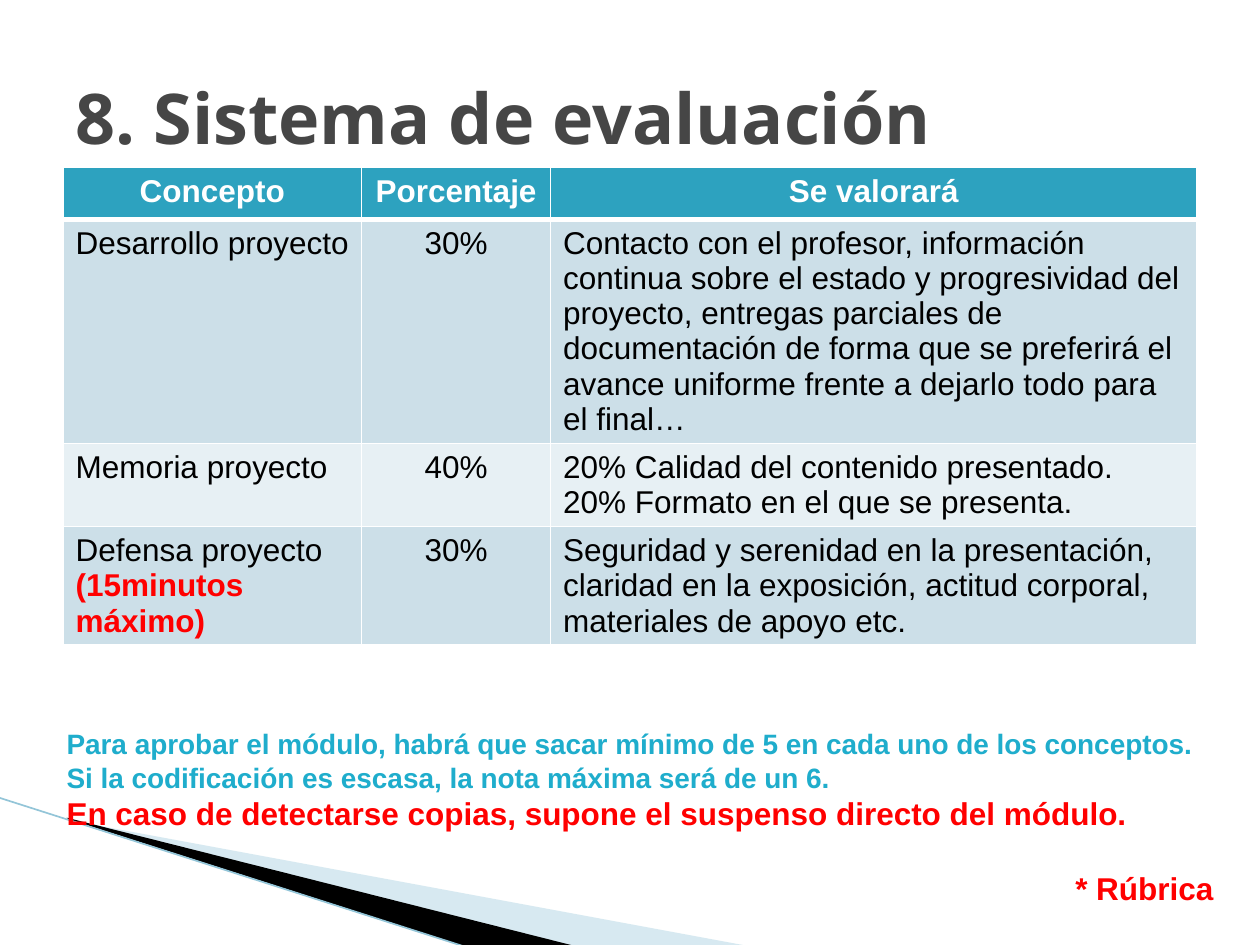
from lxml import etree
from pptx import Presentation
from pptx import util as u
from pptx.dml.color import RGBColor
from pptx.enum import shapes, text
from pptx.oxml.ns import qn

PX = 9144
COLORS = {
    "white": "FFFFFF", "black": "000000", "red": "FF0000", "title": "464646",
    "header": "2DA2BF", "band": "CCDFE8", "light": "E7F0F4",
    "note": "1FADCC", "wedge": "9CCADC", "edge": "93C5D8",
}


def style(para, size, color, bold=False, font="Arial"):
    for span in para.runs:
        span.font.name = font
        span.font.size = u.Pt(size)
        span.font.bold = bold
        span.font.color.rgb = RGBColor.from_string(COLORS[color])


def add_border(cell, tag, position, points):
    line = etree.Element(qn(f"a:{tag}"), w=str(u.Pt(points)))
    fill = etree.SubElement(line, qn("a:solidFill"))
    etree.SubElement(fill, qn("a:srgbClr"), val=COLORS["white"])
    cell._tc.get_or_add_tcPr().insert(position, line)


deck = Presentation()
deck.slide_width = 1000 * PX
deck.slide_height = 750 * PX
page = deck.slides.add_slide(deck.slide_layouts[5])

wedges = [
    ("wedge", [(55, 651), (595, 751), (456, 751), (55, 650)]),
    ("black", [(53, 649), (457, 751), (372, 752), (54, 650)]),
]
for color, points in wedges:
    builder = page.shapes.build_freeform(*points[0], scale=PX)
    builder.add_line_segments(points[1:], close=True)
    wedge = builder.convert_to_shape()
    wedge.shadow.inherit = False
    wedge.fill.solid()
    wedge.fill.fore_color.rgb = RGBColor.from_string(COLORS[color])
    wedge.line.fill.background()
    if color == "wedge":
        tint = wedge._element.spPr.find(qn("a:solidFill"))[0]
        etree.SubElement(tint, qn("a:alpha"), val="40000")

edge = page.shapes.add_connector(
    shapes.MSO_CONNECTOR.STRAIGHT, -1 * PX, 633 * PX, 371 * PX, 752 * PX)
edge.line.color.rgb = RGBColor.from_string(COLORS["edge"])
edge.line.width = u.Pt(0.95)
etree.SubElement(edge._element.spPr, qn("a:effectLst"))

title = page.shapes.title
title.left, title.top, title.width, title.height = 50 * PX, 30 * PX, 900 * PX, 125 * PX
title.text_frame.text = "8. Sistema de evaluación"
title.text_frame.vertical_anchor = text.MSO_ANCHOR.MIDDLE
title.text_frame.auto_size = text.MSO_AUTO_SIZE.NONE
title.text_frame.paragraphs[0].alignment = text.PP_ALIGN.LEFT
style(title.text_frame.paragraphs[0], 40, "title", True, "Open Sans")

rows = [
    ["Concepto", "Porcentaje", "Se valorará"],
    ["Desarrollo proyecto", "30%",
     "Contacto con el profesor, información continua sobre el estado y "
     "progresividad del proyecto, entregas parciales de documentación de forma "
     "que se preferirá el avance uniforme frente a dejarlo todo para el final…"],
    ["Memoria proyecto", "40%",
     "20% Calidad del contenido presentado.\n20% Formato en el que se presenta."],
    ["Defensa proyecto\n(15minutos máximo)", "30%",
     "Seguridad y serenidad en la presentación, claridad en la exposición, "
     "actitud corporal, materiales de apoyo etc."],
]
row_heights = [41, 178, 66, 94]
row_fills = ["header", "band", "light", "band"]
frame = page.shapes.add_table(4, 3, 50 * PX, 133 * PX, 900 * PX, sum(row_heights) * PX)
table = frame.table
for column, width in zip(table.columns, [237, 150, 513]):
    column.width = width * PX
for r, row in enumerate(rows):
    table.rows[r].height = row_heights[r] * PX
    for c, words in enumerate(row):
        cell = table.cell(r, c)
        cell.text_frame.text = words
        cell.fill.solid()
        cell.fill.fore_color.rgb = RGBColor.from_string(COLORS[row_fills[r]])
        top = 3 if r == 1 else 1
        bottom = 3 if r == 0 else 1
        sides = [("lnL", 1), ("lnR", 1), ("lnT", top), ("lnB", bottom)]
        for position, (tag, points) in enumerate(sides):
            add_border(cell, tag, position, points)
        for para in cell.text_frame.paragraphs:
            centered = r == 0 or c == 1
            para.alignment = text.PP_ALIGN.CENTER if centered else text.PP_ALIGN.LEFT
            style(para, 18, "white" if r == 0 else "black", r == 0)
style(table.cell(3, 0).text_frame.paragraphs[1], 18, "red", True)

box = page.shapes.add_textbox(43 * PX, 572 * PX, 930 * PX, 155 * PX)
box.text_frame.word_wrap = True
notes = [
    ("Para aprobar el módulo, habrá que sacar mínimo de 5 en cada uno de los conceptos.",
     16, "note"),
    ("Si la codificación es escasa, la nota máxima será de un 6.", 16, "note"),
    ("En caso de detectarse copias, supone el suspenso directo del módulo.", 18, "red"),
    ("* Rúbrica", 18, "red"),
]
box.text_frame.text = "\n".join(words for words, size, color in notes)
for para, (words, size, color) in zip(box.text_frame.paragraphs, notes):
    style(para, size, color, True)
rubric = box.text_frame.paragraphs[-1]
rubric.alignment = text.PP_ALIGN.RIGHT
rubric.space_before = u.Pt(21)

deck.save("out.pptx")
